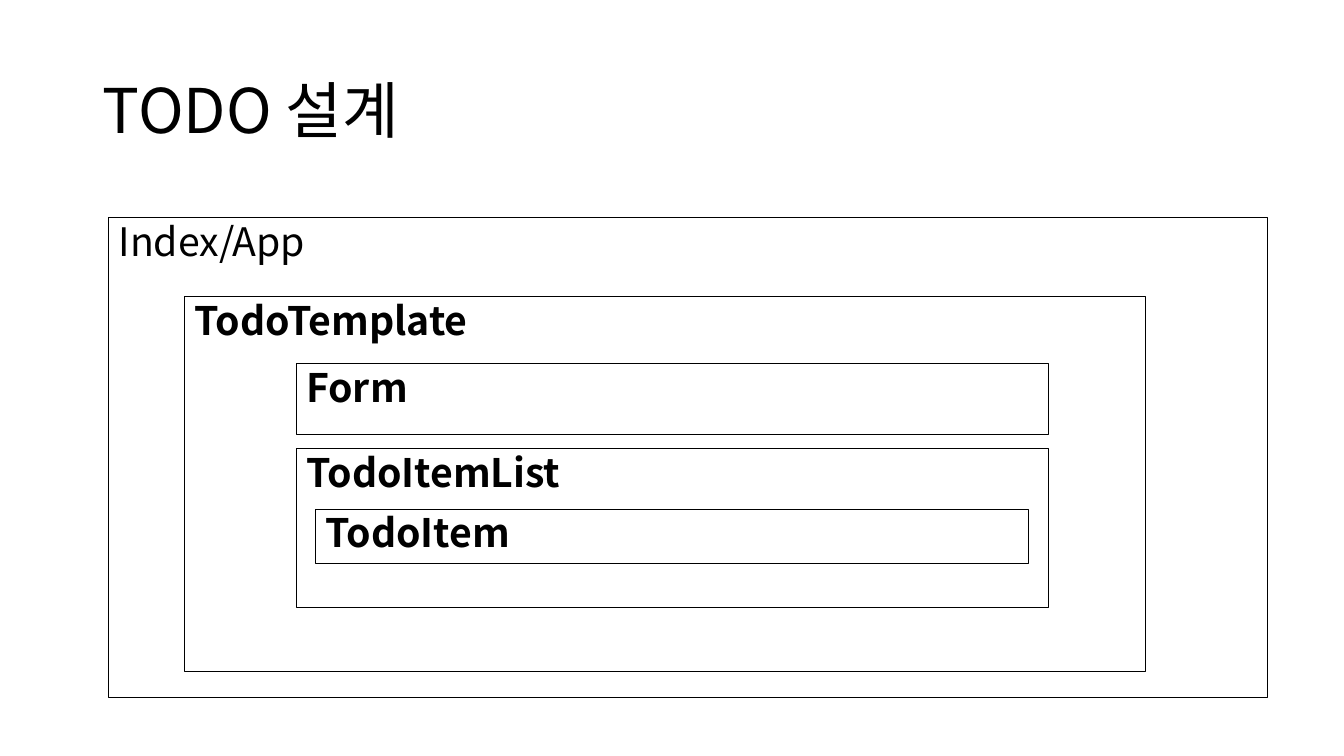
from dataclasses import dataclass

from lxml.etree import SubElement
from pptx import Presentation
from pptx.dml.color import RGBColor
from pptx.enum.shapes import MSO_SHAPE as Shape
from pptx.enum.text import MSO_ANCHOR as Anchor, MSO_AUTO_SIZE as AutoSize, PP_ALIGN as Align
from pptx.oxml.ns import qn
from pptx.util import Cm, Pt

BLACK = RGBColor(0x00, 0x00, 0x00)
WHITE = RGBColor(0xFF, 0xFF, 0xFF)
FONT = "Noto Sans CJK KR"


@dataclass
class Box:
    """A rectangle on the slide, in centimetres."""
    left: float
    top: float
    width: float
    height: float

    def inner(self, dx, dy, width, height):
        """Return a box offset from this one's top left corner."""
        return Box(self.left + dx, self.top + dy, width, height)

    def lengths(self):
        """Return left, top, width and height as slide lengths."""
        return [Cm(value) for value in (self.left, self.top, self.width, self.height)]


def write_text(holder, text, size=28, bold=False, anchor=Anchor.TOP, before=10):
    """Write one formatted, left-aligned paragraph without a bullet."""
    frame = holder.text_frame
    frame.word_wrap = True
    frame.auto_size = AutoSize.NONE
    frame.vertical_anchor = anchor
    paragraph = frame.paragraphs[0]
    paragraph.alignment = Align.LEFT
    paragraph.line_spacing = 0.9
    paragraph.space_before = Pt(before)
    properties = paragraph._p.get_or_add_pPr()
    properties.set("marL", "0")
    properties.set("indent", "0")
    SubElement(properties, qn("a:buNone"))
    run = paragraph.add_run()
    run.text = text
    run.font.size = Pt(size)
    run.font.bold = bold
    run.font.color.rgb = BLACK
    run.font.name = FONT
    SubElement(run._r.get_or_add_rPr(), qn("a:ea"), typeface=FONT)


def place(holder, box):
    """Move a placeholder onto the box."""
    holder.left, holder.top, holder.width, holder.height = box.lengths()


def outline(component):
    """Give a component a thin black border and no fill."""
    component.fill.background()
    component.line.color.rgb = BLACK
    component.line.width = Pt(0.75)


def add_component(slide, box, label, bold=True):
    """Add a labelled component rectangle."""
    component = slide.shapes.add_shape(Shape.RECTANGLE, *box.lengths())
    component.shadow.inherit = False
    outline(component)
    write_text(component, label, bold=bold)


def add_title(slide, box):
    """Fill the title placeholder."""
    place(slide.shapes.title, box)
    write_text(slide.shapes.title, "TODO 설계", size=44, anchor=Anchor.MIDDLE, before=0)


def add_item_list(slide, box):
    """Draw the item list with its item."""
    add_component(slide, box, "TodoItemList")
    add_component(slide, box.inner(0.48, 1.53, 17.96, 1.37), "TodoItem")


def add_template(slide, box):
    """Draw the template in the body placeholder, with the form and list inside."""
    template = slide.placeholders[1]
    place(template, box)
    outline(template)
    write_text(template, "TodoTemplate", bold=True)
    add_component(slide, box.inner(2.82, 1.7, 18.95, 1.78), "Form")
    add_item_list(slide, box.inner(2.82, 3.83, 18.95, 4.01))


def add_app(slide, box):
    """Draw the app component with the template nested in it."""
    add_component(slide, box, "Index/App", bold=False)
    add_template(slide, box.inner(1.91, 1.98, 24.23, 9.45))


def main():
    """Build and save the slide."""
    deck = Presentation()
    deck.slide_width, deck.slide_height = Cm(33.87), Cm(19.05)
    slide = deck.slides.add_slide(deck.slide_layouts[1])
    slide.background.fill.solid()
    slide.background.fill.fore_color.rgb = WHITE
    add_title(slide, Box(2.34, 1.02, 29.21, 3.68))
    add_app(slide, Box(2.74, 5.49, 29.21, 12.09))
    deck.save("out.pptx")


if __name__ == "__main__":
    main()
